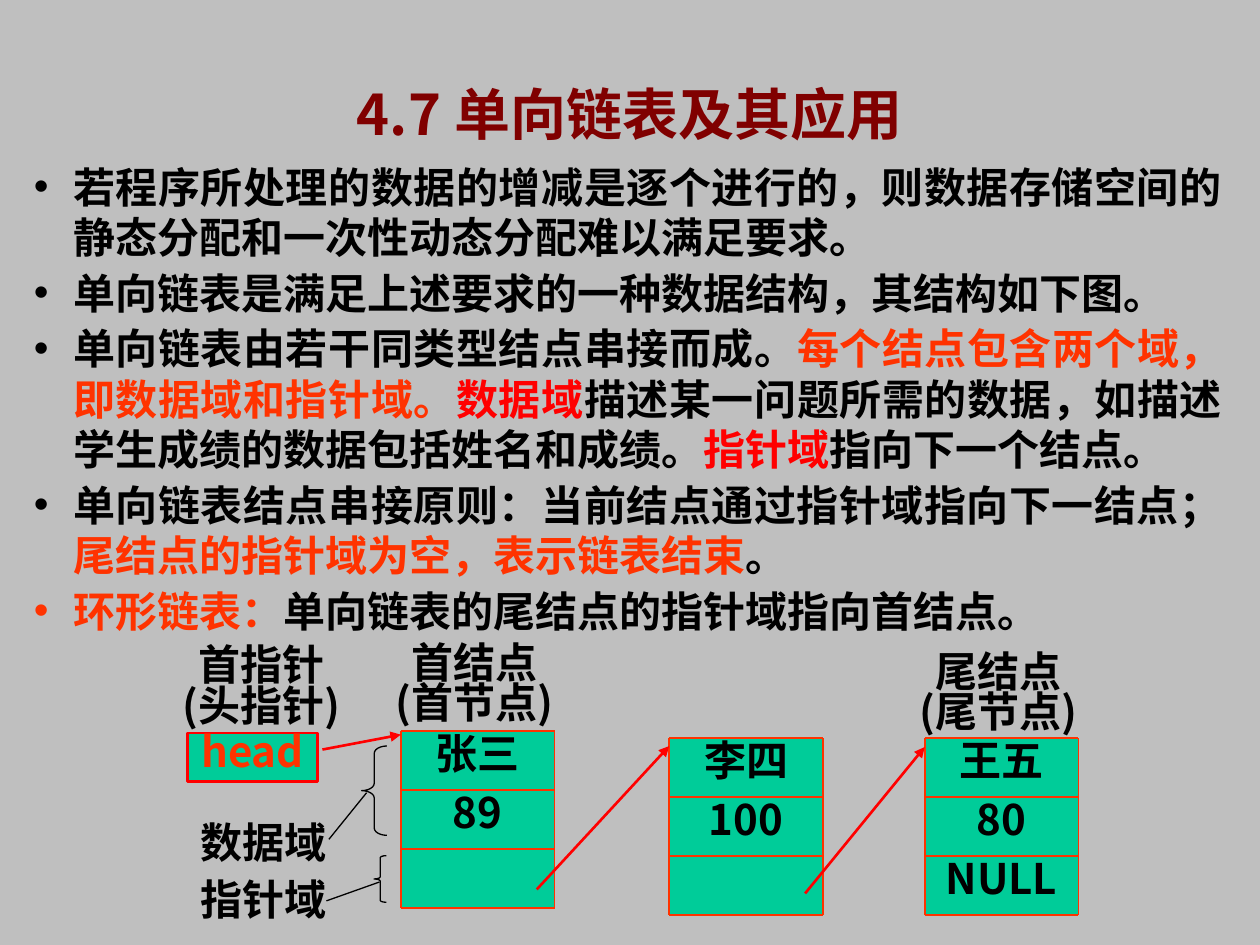
from lxml.etree import SubElement
from pptx import Presentation
from pptx.dml.color import RGBColor
from pptx.enum.shapes import MSO_CONNECTOR, MSO_SHAPE
from pptx.enum.text import MSO_ANCHOR, MSO_AUTO_SIZE, PP_ALIGN
from pptx.oxml.ns import qn
from pptx.util import Cm, Pt

BLACK = RGBColor(0x00, 0x00, 0x00)
MAROON = RGBColor(0x80, 0x00, 0x00)
ORANGE = RGBColor(0xFF, 0x33, 0x00)
RED = RGBColor(0xFF, 0x00, 0x00)
GREEN = RGBColor(0x00, 0xCC, 0x99)
GREY = RGBColor(0xBF, 0xBF, 0xBF)
SANS = "Noto Sans CJK SC"
SERIF = "Times New Roman"

TITLE = "4.7 单向链表及其应用"
POINTS = [
    [("若程序所处理的数据的增减是逐个进行的，则数据存储空间的静态分配和一次性动态分配难以满足要求。", BLACK)],
    [("单向链表是满足上述要求的一种数据结构，其结构如下图。", BLACK)],
    [("单向链表由若干同类型结点串接而成。", BLACK),
     ("每个结点包含两个域，即数据域和指针域。", ORANGE),
     ("数据域", RED),
     ("描述某一问题所需的数据，如描述学生成绩的数据包括姓名和成绩。", BLACK),
     ("指针域", RED),
     ("指向下一个结点。", BLACK)],
    [("单向链表结点串接原则：当前结点通过指针域指向下一结点；", BLACK),
     ("尾结点的指针域为空，表示链表结束", ORANGE),
     ("。", BLACK)],
    [("环形链表：", ORANGE),
     ("单向链表的尾结点的指针域指向首结点。", BLACK)],
]
NODES = [
    (8.08, 14.73, ["张三", "89", ""]),
    (13.49, 14.88, ["李四", "100", ""]),
    (18.64, 14.88, ["王五", "80", "NULL"]),
]
LABELS = [
    ("首指针\n(头指针)", (3.23, 12.95, 4.09, 1.88), SANS),
    ("首结点\n(首节点)", (7.52, 12.9, 4.09, 1.88), SANS),
    ("尾结点\n(尾节点)", (18.08, 13.08, 4.09, 1.88), SANS),
    ("数据域", (3.78, 16.54, 3.05, 1.07), SERIF),
    ("指针域", (3.78, 17.68, 3.05, 1.07), SERIF),
]
ARROWS = [
    (6.5, 15.11, 8.08, 14.81),
    (10.82, 17.93, 13.49, 15.04),
    (16.23, 18.01, 18.64, 15.06),
]
LEADERS = [(6.63, 16.92, 7.39, 15.98), (6.58, 18.16, 7.65, 17.78)]
BRACES = [((7.29, 15.04, 0.51, 1.8), 0.29), ((7.54, 17.25, 0.25, 0.94), 0.16)]
HEAD = (3.78, 14.78, 2.62, 0.97)
CELL_W, CELL_H = 3.1, 1.19


def to_cm(box):
    return [Cm(v) for v in box]


def style(run, color, size=24, face=SANS):
    font = run.font
    font.size, font.bold, font.name = Pt(size), True, face
    font.color.rgb = color
    SubElement(font._element, qn("a:ea")).set("typeface", SANS)


def place(shape, box):
    shape.left, shape.top, shape.width, shape.height = to_cm(box)


def write(shape, text, color=BLACK, space=0.8, wrap=True, face=SANS):
    frame = shape.text_frame
    frame.text = text
    frame.word_wrap = wrap
    frame.vertical_anchor = MSO_ANCHOR.TOP
    for para in frame.paragraphs:
        para.alignment = PP_ALIGN.CENTER
        para.line_spacing = space
        for run in para.runs:
            style(run, color, face=face)


def add_rect(shapes, box):
    rect = shapes.add_shape(MSO_SHAPE.RECTANGLE, *to_cm(box))
    rect.shadow.inherit = False
    rect.fill.solid()
    rect.fill.fore_color.rgb = GREEN
    rect.line.fill.background()
    return rect


def add_line(shapes, ends, color, width, arrow=False):
    line = shapes.add_connector(MSO_CONNECTOR.STRAIGHT, *to_cm(ends))
    line.line.color.rgb = color
    line.line.width = Pt(width)
    props = line._element.spPr
    if arrow:
        SubElement(props.find(qn("a:ln")), qn("a:tailEnd")).set("type", "triangle")
    SubElement(props, qn("a:effectLst"))


def add_node(shapes, left, top, texts):
    right, end = left + CELL_W, top + CELL_H * len(texts)
    for i, text in enumerate(texts):
        cell = add_rect(shapes, (left, top + i * CELL_H, CELL_W, CELL_H))
        if text:
            write(cell, text)
    for i in range(len(texts) + 1):
        y = top + i * CELL_H
        add_line(shapes, (left, y, right, y), ORANGE, 1)
    for x in (left, right):
        add_line(shapes, (x, top, x, end), ORANGE, 1)


def fill_title(title):
    place(title, (1.9, 1.47, 21.59, 1.63))
    frame = title.text_frame
    frame.text = TITLE
    frame.auto_size = MSO_AUTO_SIZE.NONE
    frame.vertical_anchor = MSO_ANCHOR.MIDDLE
    para = frame.paragraphs[0]
    para.alignment = PP_ALIGN.CENTER
    style(para.runs[0], MAROON, 32)


def fill_body(body):
    place(body, (0.43, 3.12, 24.46, 9.83))
    frame = body.text_frame
    frame.auto_size = MSO_AUTO_SIZE.NONE
    for i, point in enumerate(POINTS):
        para = frame.add_paragraph() if i else frame.paragraphs[0]
        para.alignment = PP_ALIGN.JUSTIFY
        para.space_before = Pt(3 if i else 0)
        props = para._p.get_or_add_pPr()
        props.set("marL", str(Cm(0.79)))
        props.set("indent", str(-Cm(0.79)))
        tint = SubElement(props, qn("a:buClr"))
        SubElement(tint, qn("a:srgbClr")).set("val", str(point[0][1]))
        SubElement(props, qn("a:buChar")).set("char", "•")
        for text, color in point:
            run = para.add_run()
            run.text = text
            style(run, color)


def main():
    deck = Presentation()
    deck.slide_width, deck.slide_height = Cm(25.4), Cm(19.05)
    slide = deck.slides.add_slide(deck.slide_layouts[1])
    slide.background.fill.solid()
    slide.background.fill.fore_color.rgb = GREY
    shapes = slide.shapes
    fill_title(shapes.title)
    fill_body(slide.placeholders[1])

    head = add_rect(shapes, HEAD)
    head.line.color.rgb = RED
    head.line.width = Pt(1.5)
    write(head, "head", ORANGE, 0.7, False)
    for node in NODES:
        add_node(shapes, *node)
    for ends in ARROWS:
        add_line(shapes, ends, RED, 1.5, True)
    for text, box, face in LABELS:
        write(shapes.add_textbox(*to_cm(box)), text, wrap=False, face=face)
    for box, bend in BRACES:
        brace = shapes.add_shape(MSO_SHAPE.LEFT_BRACE, *to_cm(box))
        brace.adjustments[0] = bend
        brace.shadow.inherit = False
        brace.fill.background()
        brace.line.color.rgb = BLACK
        brace.line.width = Pt(0.75)
    for ends in LEADERS:
        add_line(shapes, ends, BLACK, 0.75)
    deck.save("out.pptx")


if __name__ == "__main__":
    main()
